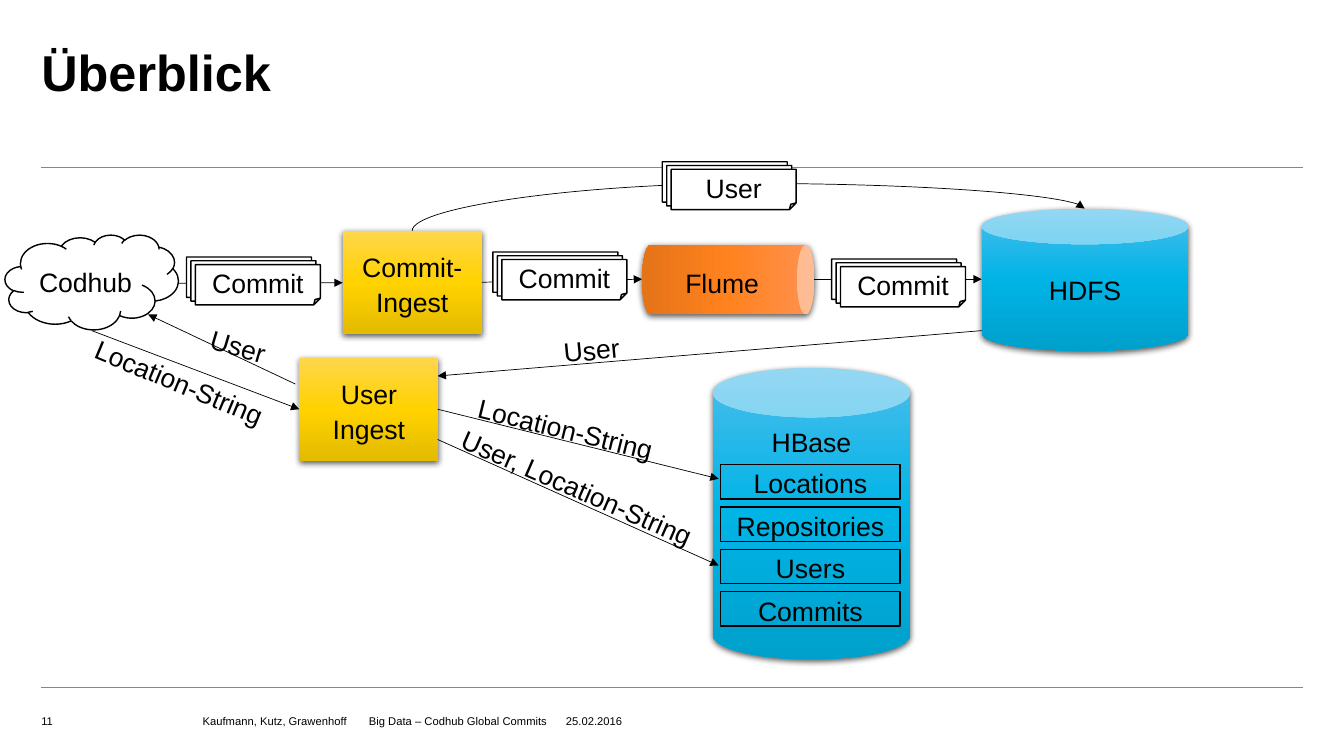
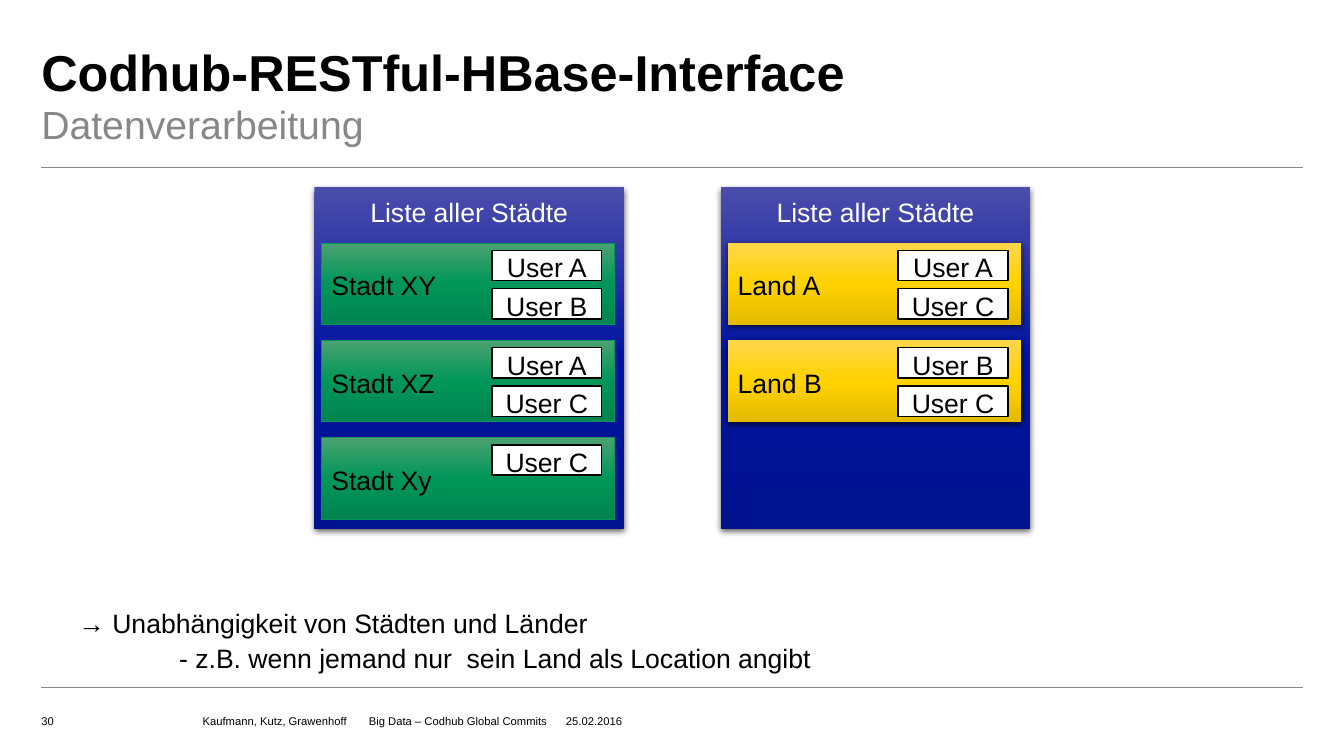
import copy

import pptx
import pptx.dml.color
import pptx.enum.dml
import pptx.enum.shapes
import pptx.enum.text
import pptx.oxml
import pptx.oxml.ns
import pptx.util

SHAPE = pptx.enum.shapes.MSO_SHAPE
CONNECTOR = pptx.enum.shapes.MSO_CONNECTOR
ANCHOR = pptx.enum.text.MSO_ANCHOR
ALIGN = pptx.enum.text.PP_ALIGN
FIT = pptx.enum.text.MSO_AUTO_SIZE
qn = pptx.oxml.ns.qn

# The slide is a grid of 160 columns by 90 rows of square cells
WIDTH, HEIGHT = pptx.util.Inches(13.33), pptx.util.Inches(7.5)
COLUMNS, ROWS = 160, 90
LEFT, RIGHT = 4.92, 155.16

COLORS = {"black": "000000", "white": "FFFFFF", "gray": "878787", "green": "00965A"}
GRADIENTS = {
    "orange": ("FF9150", "FF821E", "E57318"),
    "yellow": ("FFD64B", "FFD200", "E3BB00"),
    "cyan": ("4BBDEC", "00B4E6", "00A0CC"),
    "blue": ("4B4DAB", "0014A0", "00128E"),
    "green": ("4BA270", "00965A", "008550"),
}
FONTS = {
    "title": {"size": pptx.util.Pt(36), "bold": True},
    "subtitle": {"size": pptx.util.Pt(28)},
    "body": {"size": pptx.util.Pt(19)},
    "footer": {"size": pptx.util.Pt(8)},
}
NO_MARGIN = dict.fromkeys(("margin_left", "margin_top", "margin_right", "margin_bottom"), 0)
FOOTER = ("Kaufmann, Kutz, Grawenhoff\tBig Data – Codhub Global Commits\t"
          "25.02.2016")
FOOTER_TABS = (19.8, 43.26)


def column(value):
    return round(WIDTH * value / COLUMNS)


def row(value):
    return round(HEIGHT * value / ROWS)


def color(name):
    return pptx.dml.color.RGBColor.from_string(COLORS.get(name, name))


def set_values(target, values):
    for name, value in values.items():
        setattr(target, name, value)


class Sketch:
    """Holds the deck, its style and the current slide."""

    def __init__(self):
        self.deck = pptx.Presentation()
        set_values(self.deck, {"slide_width": WIDTH, "slide_height": HEIGHT})
        self.page = None

    def new_page(self, number, title, subtitle=None):
        self.page = self.deck.slides.add_slide(self.deck.slide_layouts[6])
        for y in (19.92, 81.84):
            self.line((LEFT, y), (RIGHT, y), "gray", arrow=False)
        self.text((LEFT, 4.92, 115.8, 7.44), title, "title", frame=NO_MARGIN, spacing=1.0)
        if subtitle:
            self.text((LEFT, 11.4, 115.8, 6.6), subtitle, "subtitle", "gray", NO_MARGIN)
        bottom = {**NO_MARGIN, "vertical_anchor": ANCHOR.BOTTOM}
        self.text((LEFT, 82.8, 18.84, 3.84), str(number), "footer", frame=bottom, spacing=1.0)
        self.text((24.12, 82.8, 122.88, 3.84), FOOTER, "footer", frame=bottom,
                  spacing=1.0, tabs=FOOTER_TABS)

    # Text
    def put_text(self, box, text, font="body", ink="black", align=ALIGN.LEFT,
                 frame=None, spacing=1.1, tabs=(), indents=()):
        set_values(box.text_frame, {"word_wrap": True, **(frame or {})})
        for index, content in enumerate(text.split("\n")):
            para = box.text_frame.paragraphs[0] if index == 0 else box.text_frame.add_paragraph()
            set_values(para, {"alignment": align, "line_spacing": spacing})
            settings = para._p.get_or_add_pPr()
            if index < len(indents):
                settings.set("marL", str(column(indents[index])))
            if tabs:
                stops = settings.makeelement(qn("a:tabLst"), {})
                settings.append(stops)
                for stop in tabs:
                    stops.append(stops.makeelement(
                        qn("a:tab"), {"pos": str(column(stop)), "algn": "l"}))
            span = para.add_run()
            span.text = content
            set_values(span.font, {"name": "Arial", **FONTS[font]})
            span.font.color.rgb = color(ink)

    def text(self, area, text, font="body", ink="black", frame=None, **options):
        x, y, width, height = area
        box = self.page.shapes.add_textbox(column(x), row(y), column(width), row(height))
        self.put_text(box, text, font, ink, frame=frame, **options)
        return box

    def label(self, text, x, y, width, angle=0):
        frame = {"word_wrap": False, "auto_size": FIT.SHAPE_TO_FIT_TEXT}
        self.text((x, y, width, 5.4), text, frame=frame).rotation = angle

    # Shapes
    def shape(self, kind, area, text="", fill=None, gradient=None, line=None, weight=1,
              shadow=False, ink="black", align=ALIGN.CENTER, anchor=ANCHOR.MIDDLE, angle=0):
        x, y, width, height = area
        box = self.page.shapes.add_shape(kind, column(x), row(y), column(width), row(height))
        box.rotation = angle
        if gradient:
            self.blend(box, GRADIENTS[gradient])
        elif fill:
            box.fill.solid()
            box.fill.fore_color.rgb = color(fill)
        else:
            box.fill.background()
        if line:
            box.line.color.rgb = color(line)
            box.line.width = pptx.util.Pt(weight)
        else:
            box.line.fill.background()
        box.shadow.inherit = False
        if shadow:
            self.cast_shadow(box)
        if text:
            self.put_text(box, text, ink=ink, align=align, frame={"vertical_anchor": anchor})

    def blend(self, box, shades):
        box.fill.gradient()
        box.fill.gradient_angle = 270
        first = box._element.spPr.find(".//" + qn("a:gs"))
        first.addnext(copy.deepcopy(first))
        for index, (stop, shade) in enumerate(zip(box.fill.gradient_stops, shades)):
            stop.position = index / 2
            stop.color.rgb = color(shade)

    def cast_shadow(self, box):
        effects = box._element.spPr.find(qn("a:effectLst"))
        effects.append(pptx.oxml.parse_xml(
            f'<a:outerShdw {pptx.oxml.ns.nsdecls("a")} blurRad="57150" dist="19050" '
            'dir="5400000" algn="ctr" rotWithShape="0"><a:srgbClr val="000000">'
            '<a:alpha val="63000"/></a:srgbClr></a:outerShdw>'))

    def block(self, area, text, gradient, kind=SHAPE.RECTANGLE, **options):
        self.shape(kind, area, text, gradient=gradient, shadow=True, **options)

    def paper_stack(self, text, x, y):
        for index, content in enumerate(("", "", text)):
            self.shape(SHAPE.FOLDED_CORNER, (x + 0.53 * index, y + 0.45 * index, 14.88, 4.8),
                       content, fill="white", line="black")

    # Lines
    def line(self, start, end, ink="black", arrow=True, kind=CONNECTOR.STRAIGHT):
        link = self.page.shapes.add_connector(
            kind, column(start[0]), row(start[1]), column(end[0]), row(end[1]))
        link.line.color.rgb = color(ink)
        link.line.width = pptx.util.Pt(0.5)
        outline = link._element.spPr
        if arrow:
            stroke = outline.find(qn("a:ln"))
            stroke.append(stroke.makeelement(qn("a:tailEnd"), {"type": "triangle"}))
        outline.append(outline.makeelement(qn("a:effectLst"), {}))
        return link

    def arch(self, start, end, top):
        """Curved arrow that rises from start to top and falls to end."""
        middle_x, middle_y = (start[0] + end[0]) / 2, (start[1] + end[1]) / 2
        half_width, half_height = (start[1] - end[1]) / 2, (end[0] - start[0]) / 2
        link = self.line((middle_x + half_width, middle_y + half_height),
                         (middle_x - half_width, middle_y - half_height), kind=CONNECTOR.CURVE)
        outline = link._element.spPr
        outline.find(qn("a:xfrm")).set("rot", "5400000")
        bend = round((start[1] - top) / (start[1] - end[1]) * 100000)
        guides = outline.find(".//" + qn("a:avLst"))
        guides.append(guides.makeelement(qn("a:gd"), {"name": "adj1", "fmla": f"val {bend}"}))


def overview(sketch):
    sketch.new_page(11, "Überblick")

    # Systems
    sketch.shape(SHAPE.CLOUD, (0.6, 27.96, 20.64, 11.28), "Codhub", fill="white", line="black")
    sketch.block((82.56, 23.04, 8.28, 20.52), "", "orange", SHAPE.CAN, angle=90)
    sketch.label("Flume", 80.4, 30.84, 11.4)
    sketch.block((40.8, 27.48, 16.56, 12.3), "Commit-Ingest", "yellow")
    sketch.block((35.64, 42.6, 16.56, 12.3), "User Ingest", "yellow")
    sketch.block((116.88, 24.84, 24.6, 16.92), "HDFS", "cyan", SHAPE.CAN)
    sketch.block((84.84, 43.8, 23.52, 34.68), "HBase", "cyan", SHAPE.CAN, anchor=ANCHOR.TOP)
    for index, table in enumerate(("Locations", "Repositories", "Users", "Commits")):
        sketch.shape(SHAPE.RECTANGLE, (85.8, 55.32 + 5.04 * index, 21.36, 4.08), table,
                     line="black")

    # Data flows
    flows = (
        ((21.24, 33.72), (40.8, 33.66)),
        ((57.36, 33.6), (76.44, 33.24)),
        ((96.96, 33.24), (116.88, 33.24)),
        ((35.16, 45.72), (17.64, 37.44)),
        ((10.92, 39.36), (35.64, 48.72)),
        ((52.1, 48.72), (85.56, 57)),
        ((52.1, 52.32), (85.56, 67.32)),
        ((116.88, 39.36), (52.1, 44.76)),
    )
    for start, end in flows:
        sketch.line(start, end)
    sketch.arch((49.08, 27.48), (129.12, 24.84), top=21.84)

    # What flows
    for text, x, y in (("Commit", 22.2, 30.6), ("Commit", 58.68, 30),
                       ("Commit", 99, 30.84), ("User", 78.84, 19.26)):
        sketch.paper_stack(text, x, y)
    for label in (("User", 23.88, 38.4, 9.24, 16.6),
                  ("Location-String", 9.6, 42.72, 24, 22.6),
                  ("Location-String", 55.56, 48.24, 24, 13.8),
                  ("User, Location-String", 52.8, 55.32, 32.4, 23.7),
                  ("User", 65.88, 38.76, 9.24, 354.6)):
        sketch.label(*label)


def processing(sketch):
    sketch.new_page(30, "Codhub-RESTful-HBase-Interface", "Datenverarbeitung")

    # Lists of places with their users
    cities = (("Stadt XY", ("User A", "User B")), ("Stadt XZ", ("User A", "User C")),
              ("Stadt Xy", ("User C",)))
    countries = (("Land A", ("User A", "User C")), ("Land B", ("User B", "User C")))
    city_style = {"gradient": "green", "line": "green", "weight": 0.5}
    country_style = {"gradient": "yellow", "shadow": True}
    for panel_x, places, style in ((37.44, cities, city_style),
                                   (85.8, countries, country_style)):
        sketch.block((panel_x, 22.32, 36.84, 40.68), "Liste aller Städte", "blue",
                     ink="white", anchor=ANCHOR.TOP)
        for place_index, (place, users) in enumerate(places):
            x, y = panel_x + 0.84, 28.92 + 11.58 * place_index
            sketch.shape(SHAPE.RECTANGLE, (x, y, 34.92, 9.72), place, align=ALIGN.LEFT, **style)
            for user_index, user in enumerate(users):
                sketch.shape(SHAPE.RECTANGLE, (x + 20.28, y + 0.9 + 4.56 * user_index, 13.08, 3.6),
                             user, fill="white", line="black")

    # Conclusion
    sketch.text((8.16, 71.28, 110.52, 9.6),
                "→ Unabhängigkeit von Städten und Länder\n"
                "- z.B. wenn jemand nur  sein Land als Location angibt", indents=(0, 12))


def main():
    sketch = Sketch()
    overview(sketch)
    processing(sketch)
    sketch.deck.save("out.pptx")


if __name__ == "__main__":
    main()
